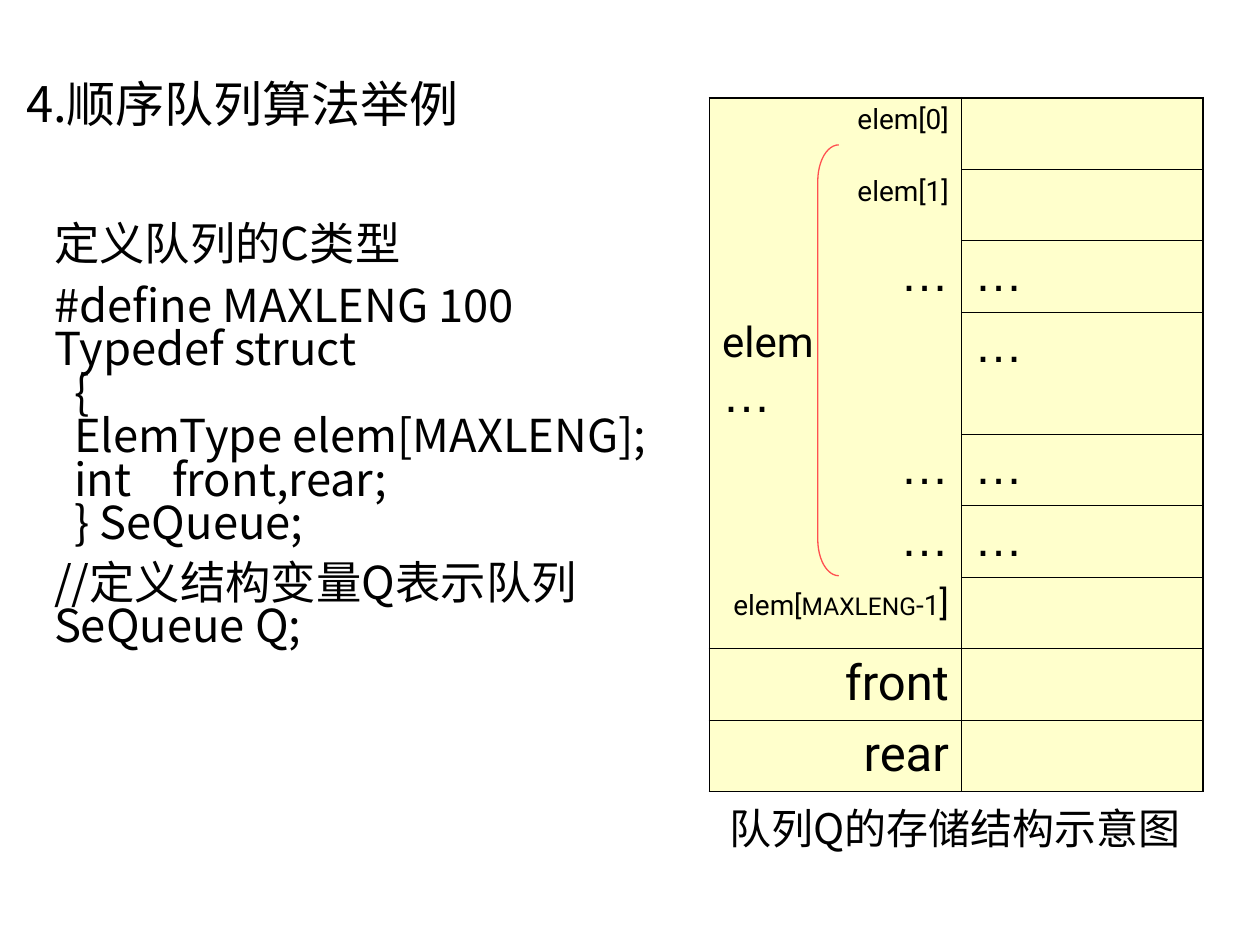
from lxml import etree
from pptx import Presentation
from pptx.dml.color import RGBColor
from pptx.enum.shapes import MSO_SHAPE
from pptx.enum.text import MSO_ANCHOR, PP_ALIGN
from pptx.oxml.ns import qn
from pptx.util import Pt

BLACK = RGBColor(0x00, 0x00, 0x00)
CREAM = RGBColor(0xFF, 0xFF, 0xCC)
RED = RGBColor(0xFF, 0x50, 0x50)

CJK, ROBOTO, ARIAL = "Noto Sans CJK SC", "Roboto", "Arial"
OUTER, INNER = 1.08, 0.45  # table line widths

# Code lines: text and the space before each
CODE = [
    ("定义队列的C类型", 0),
    ("#define MAXLENG 100", 10.5),
    ("Typedef struct", 0),
    ("  {", 0),
    ("  ElemType elem[MAXLENG];", 0),
    ("  int    front,rear;", 0),
    ("  } SeQueue;", 0),
    ("//定义结构变量Q表示队列", 9),
    ("SeQueue Q;", 0),
]

# Storage rows: label paragraphs, value paragraphs; a run is (text, size, font)
DOTS = [[("…", 28, ARIAL)]]
ELEM_ROW = 3
STORAGE = [
    ([[("elem[0]", 16, ROBOTO)]], []),
    ([[("elem[1]", 16, ROBOTO)]], []),
    (DOTS, DOTS),
    ([[("elem", 24, ROBOTO)]] + DOTS, DOTS),
    (DOTS, DOTS),
    (DOTS, DOTS),
    ([[("elem[", 16, ROBOTO), ("MAXLENG", 14, ROBOTO),
       ("-1", 16, ROBOTO), ("]", 20, ROBOTO)]], []),
    ([[("front", 28, ROBOTO)]], []),
    ([[("rear", 28, ROBOTO)]], []),
]
LAST_ROW = len(STORAGE) - 1
ARRAY_END = 6  # last row that belongs to the elem array


class SlideWriter:
    def __init__(self, slide):
        self.slide = slide

    def run(self, para, text, size, font):
        span = para.add_run()
        span.text = text
        span.font.size = Pt(size)
        span.font.name = font
        span.font.color.rgb = BLACK
        east_asian = etree.SubElement(span._r.get_or_add_rPr(), qn("a:ea"))
        east_asian.set("typeface", font)

    def text(self, left, top, width, height, lines, size, spacing=1.0,
             anchor=MSO_ANCHOR.TOP, inset_right=7.2):
        box = self.slide.shapes.add_textbox(Pt(left), Pt(top), Pt(width), Pt(height))
        frame = box.text_frame
        frame.word_wrap = True
        frame.vertical_anchor = anchor
        frame.margin_right = Pt(inset_right)
        for index, (line, before) in enumerate(lines):
            para = frame.add_paragraph() if index else frame.paragraphs[0]
            para.line_spacing = spacing
            if before:
                para.space_before = Pt(before)
            self.run(para, line, size, CJK)

    def border(self, cell, widths):
        """Draw the sides in the order left, right, top, bottom."""
        properties = cell._tc.get_or_add_tcPr()
        for position, (side, width) in enumerate(zip("LRTB", widths)):
            line = etree.Element(qn(f"a:ln{side}"), w=str(int(Pt(width))))
            if width:
                fill = etree.SubElement(line, qn("a:solidFill"))
                etree.SubElement(fill, qn("a:srgbClr"), val=str(BLACK))
            else:
                etree.SubElement(line, qn("a:noFill"))
            properties.insert(position, line)

    def cell(self, cell, paragraphs, align, widths):
        cell.fill.solid()
        cell.fill.fore_color.rgb = CREAM
        self.border(cell, widths)
        for index, runs in enumerate(paragraphs):
            frame = cell.text_frame
            para = frame.add_paragraph() if index else frame.paragraphs[0]
            para.alignment = align
            for text, size, font in runs:
                self.run(para, text, size, font)

    def storage_table(self, left, top, columns, row_height, elem_height):
        height = row_height * LAST_ROW + elem_height
        table = self.slide.shapes.add_table(
            len(STORAGE), len(columns), Pt(left), Pt(top),
            Pt(sum(columns)), Pt(height)).table
        for column, width in zip(table.columns, columns):
            column.width = Pt(width)
        for index, (label, value) in enumerate(STORAGE):
            is_elem = index == ELEM_ROW
            table.rows[index].height = Pt(elem_height if is_elem else row_height)
            over = OUTER if index == 0 else INNER
            under = OUTER if index == LAST_ROW else INNER
            # The labels of the array share one undivided area
            label_over = 0 if 0 < index <= ARRAY_END else over
            label_under = 0 if index < ARRAY_END else under
            self.cell(table.cell(index, 0), label,
                      PP_ALIGN.LEFT if is_elem else PP_ALIGN.RIGHT,
                      (OUTER, INNER, label_over, label_under))
            self.cell(table.cell(index, 1), value, PP_ALIGN.LEFT,
                      (INNER, OUTER, over, under))

    def bracket(self, left, top, width, height, curve):
        shape = self.slide.shapes.add_shape(
            MSO_SHAPE.LEFT_BRACKET, Pt(left), Pt(top), Pt(width), Pt(height))
        shape.shadow.inherit = False
        shape.adjustments[0] = curve / width
        shape.fill.background()
        shape.line.color.rgb = RED
        shape.line.width = Pt(0.75)


def main():
    deck = Presentation()
    deck.slide_width, deck.slide_height = Pt(720), Pt(540)
    page = SlideWriter(deck.slides.add_slide(deck.slide_layouts[6]))

    # Heading and type definition
    page.text(7.9, 43.2, 296, 36, [("4.顺序队列算法举例", 0)], 28,
              spacing=0.85, anchor=MSO_ANCHOR.BOTTOM)
    page.text(23.8, 125.3, 354, 314.6, CODE, 25.9, spacing=0.8, inset_right=0)

    # Storage layout of the queue
    page.storage_table(405.4, 55.8, (144, 138), 40.85, 69.7)
    page.text(409.7, 455, 275.8, 64.8, [("队列Q的存储结构示意图", 0)], 24)
    page.bracket(467.3, 82.8, 12, 246.2, 20.7)

    deck.save("out.pptx")


if __name__ == "__main__":
    main()
